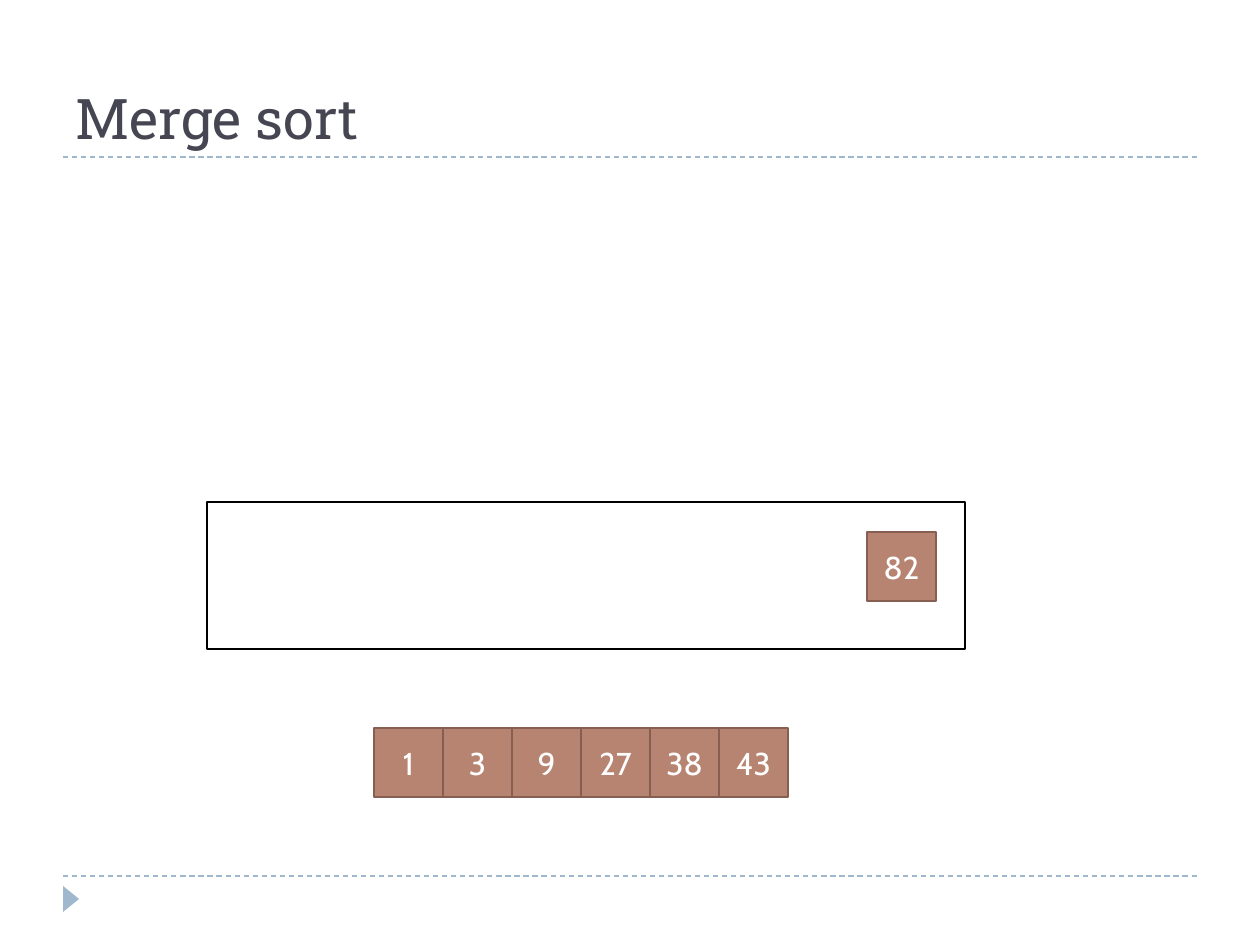
from lxml import etree
from pptx import Presentation
from pptx.dml.color import RGBColor
from pptx.enum.dml import MSO_LINE
from pptx.enum.shapes import MSO_CONNECTOR, MSO_SHAPE
from pptx.enum.text import MSO_ANCHOR, PP_ALIGN
from pptx.oxml.ns import qn
from pptx.util import Pt

EMU_PER_PX = 914400 / 126

STRAIGHT = MSO_CONNECTOR.STRAIGHT
DASH = MSO_LINE.DASH
RECTANGLE = MSO_SHAPE.RECTANGLE
TRIANGLE = MSO_SHAPE.ISOSCELES_TRIANGLE
MIDDLE, BOTTOM = MSO_ANCHOR.MIDDLE, MSO_ANCHOR.BOTTOM
LEFT, CENTER = PP_ALIGN.LEFT, PP_ALIGN.CENTER

BLUE = RGBColor(0x9F, 0xB8, 0xCD)
SLATE = RGBColor(0x46, 0x46, 0x53)
CLAY = RGBColor(0xB8, 0x84, 0x72)
DARK_CLAY = RGBColor(0x86, 0x5F, 0x52)
WHITE = RGBColor(0xFF, 0xFF, 0xFF)
BLACK = RGBColor(0, 0, 0)

CELL_SIZE = 69
SORTED_VALUES = [1, 3, 9, 27, 38, 43]


def px(*lengths):
    return [round(length * EMU_PER_PX) for length in lengths]


def add_rule(slide, y):
    rule = slide.shapes.add_connector(STRAIGHT, *px(63, y, 1197, y))
    rule.line.color.rgb = BLUE
    rule.line.width = Pt(0.75)
    rule.line.dash_style = DASH
    etree.SubElement(rule._element.spPr, qn("a:effectLst"))


def add_block(slide, preset, box, fill=None, outline=None):
    block = slide.shapes.add_shape(preset, *px(*box))
    block.shadow.inherit = False
    if fill is None:
        block.fill.background()
    else:
        block.fill.solid()
        block.fill.fore_color.rgb = fill
    if outline is None:
        block.line.fill.background()
    else:
        block.line.color.rgb = outline
        block.line.width = Pt(1.5)
    return block


def write(holder, text, font_name, size, color, align, anchor):
    frame = holder.text_frame
    frame.word_wrap = True
    frame.vertical_anchor = anchor
    frame.text = text
    paragraph = frame.paragraphs[0]
    paragraph.alignment = align
    font = paragraph.runs[0].font
    font.name, font.size = font_name, Pt(size)
    font.color.rgb = color


def add_title(slide, text):
    title = slide.shapes.add_textbox(*px(63, 21, 1134, 136))
    write(title, text, "Roboto Slab", 32, SLATE, LEFT, BOTTOM)


def add_cell(slide, x, y, value):
    box = (x, y, CELL_SIZE, CELL_SIZE)
    cell = add_block(slide, RECTANGLE, box, CLAY, DARK_CLAY)
    write(cell, str(value), "Cabin", 18, WHITE, CENTER, MIDDLE)


def main():
    prs = Presentation()
    prs.slide_width, prs.slide_height = px(1260, 945)
    slide = prs.slides.add_slide(prs.slide_layouts[6])

    # Page furniture
    for y in (876, 157):
        add_rule(slide, y)
    page_marker = add_block(slide, TRIANGLE, (58, 891, 26, 16), BLUE)
    page_marker.rotation = 90
    add_title(slide, "Merge sort")

    # Merged values so far
    for index, value in enumerate(SORTED_VALUES):
        add_cell(slide, 374 + index * CELL_SIZE, 728, value)

    # Last value still waiting in the merge area
    add_cell(slide, 867, 532, 82)
    add_block(slide, RECTANGLE, (207, 502, 758, 147), outline=BLACK)

    prs.save("out.pptx")


if __name__ == "__main__":
    main()
